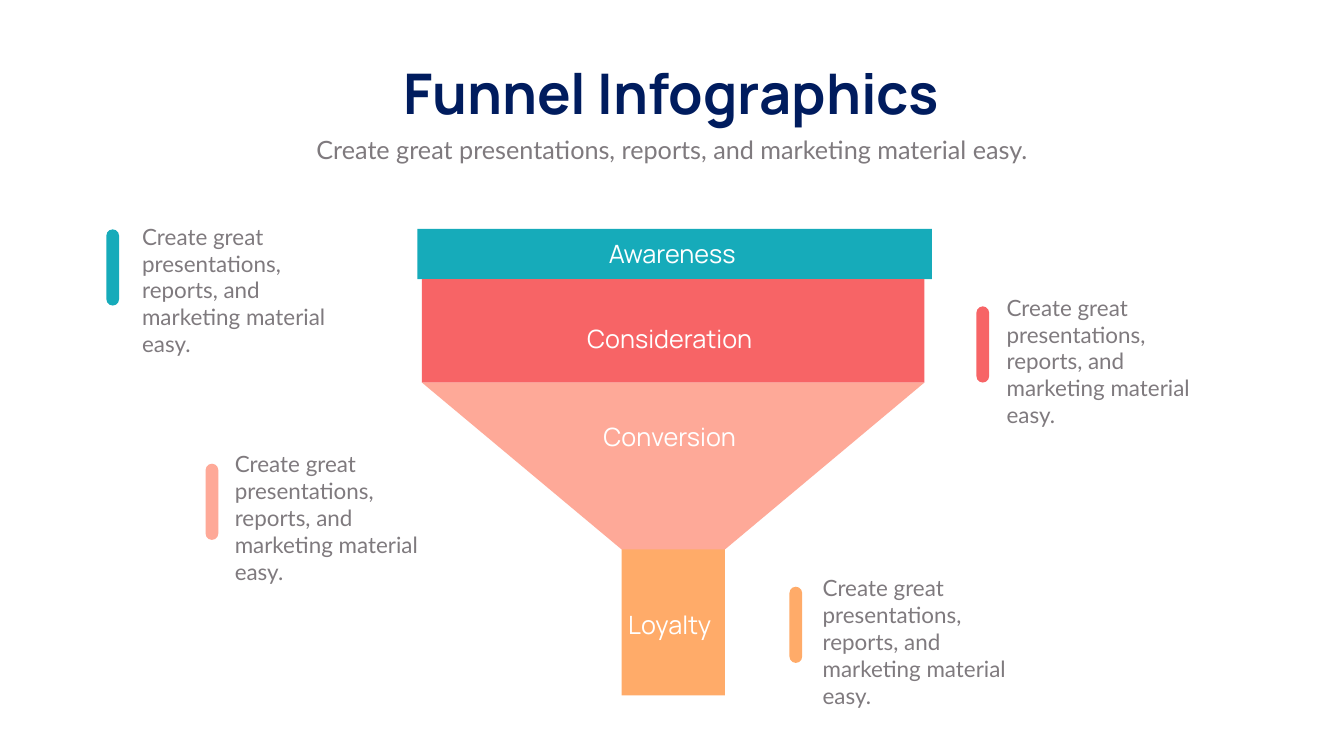
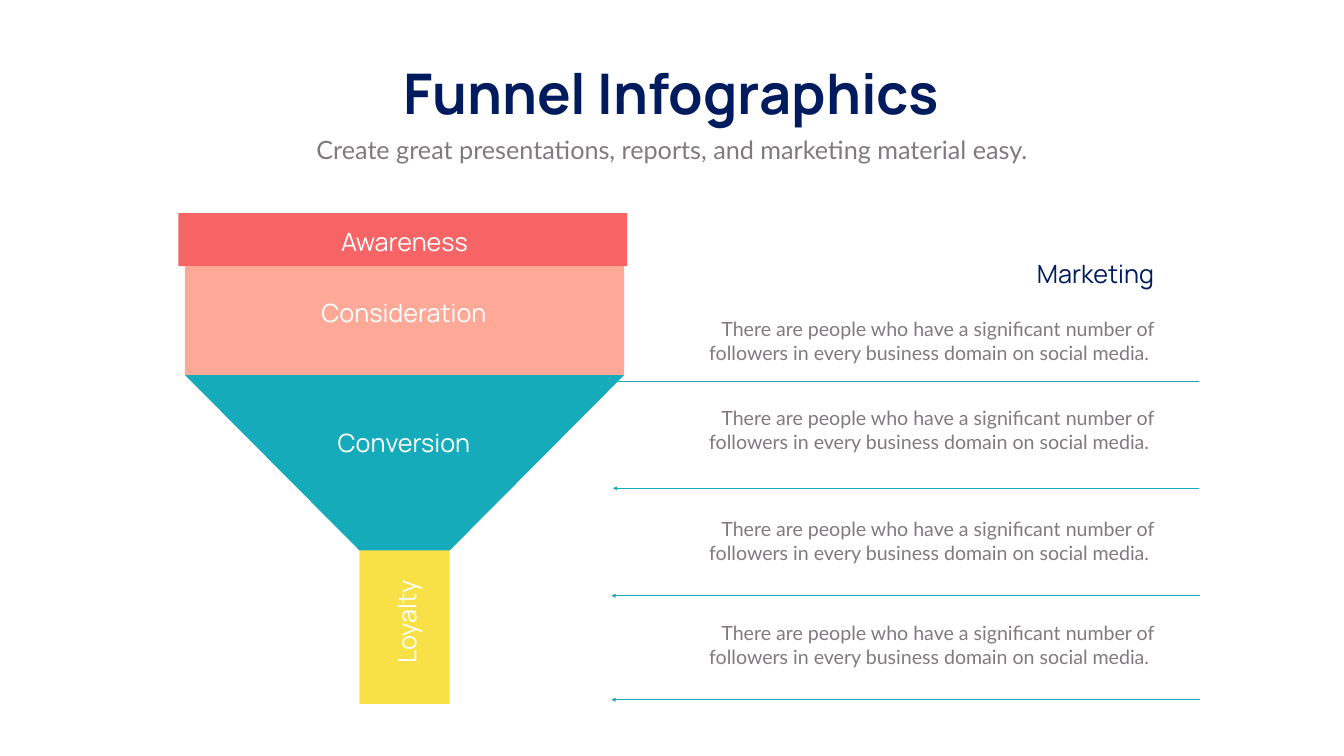
from lxml.etree import SubElement
from pptx import Presentation
from pptx.dml.color import RGBColor
from pptx.enum.shapes import MSO_CONNECTOR, MSO_SHAPE
from pptx.enum.text import MSO_AUTO_SIZE, PP_ALIGN
from pptx.oxml.ns import qn
from pptx.util import Cm, Pt

INK = {
    "navy": "001C5E", "gray": "7F7A7E", "white": "FFFFFF",
    "teal": "16ABBA", "red": "F76466", "pink": "FEA998",
    "orange": "FFAB69", "yellow": "F8E146",
}
HEAD, BODY = "Manrope", "Lato"
LEFT, MID, RIGHT = PP_ALIGN.LEFT, PP_ALIGN.CENTER, PP_ALIGN.RIGHT
PITCH = "Create great presentations, reports, and marketing material easy."
CLAIM = ("There are people who have a significant number of followers "
         "in every business domain on social media. ")


class Deck:
    """Holds the shared style and the current slide."""

    def __init__(self):
        self.prs = Presentation()
        self.prs.slide_width, self.prs.slide_height = Cm(67.72), Cm(38.1)
        self.slide = None

    def page(self):
        self.slide = self.prs.slides.add_slide(self.prs.slide_layouts[6])

    def title(self):
        self.text("Funnel Infographics", 18.97, 2.84, 29.74, 3.68, 80,
                  HEAD, "navy", MID, bold=True, wrap=False)
        self.text(PITCH, 7.42, 6.63, 52.88, 1.8, 36, BODY, "gray", MID)

    def text(self, words, x, y, w, h, size, face, ink, align=LEFT,
             bold=False, wrap=True, turn=0):
        box = self.slide.shapes.add_textbox(Cm(x), Cm(y), Cm(w), Cm(h))
        box.rotation = turn
        frame = box.text_frame
        frame.word_wrap = wrap
        frame.auto_size = MSO_AUTO_SIZE.SHAPE_TO_FIT_TEXT
        para = frame.paragraphs[0]
        para.alignment = align
        run = para.add_run()
        run.text = words
        font = run.font
        font.size, font.name, font.bold = Pt(size), face, bold
        font.color.rgb = RGBColor.from_string(INK[ink])

    def label(self, words, x, y, w, turn=0):
        self.text(words, x, y, w, 1.8, 36, HEAD, "white", MID, turn=turn)

    def paint(self, shape, ink):
        shape.shadow.inherit = False
        shape.fill.solid()
        shape.fill.fore_color.rgb = RGBColor.from_string(INK[ink])
        shape.line.fill.background()

    def block(self, x, y, right, base, ink, kind=MSO_SHAPE.RECTANGLE):
        shape = self.slide.shapes.add_shape(
            kind, Cm(x), Cm(y), Cm(right - x), Cm(base - y))
        self.paint(shape, ink)
        return shape

    def pill(self, x, y, ink):
        shape = self.block(x, y, x + 0.64, y + 3.84, ink,
                           MSO_SHAPE.ROUNDED_RECTANGLE)
        shape.adjustments[0] = 0.5

    def cone(self, top, base, wide, slim, ink):
        spots = [(slim[1], base), (slim[0], base), (wide[0], top),
                 (wide[1], top)]
        spots = [(Cm(x), Cm(y)) for x, y in spots]
        path = self.slide.shapes.build_freeform(*spots[0])
        path.add_line_segments(spots[1:], close=True)
        self.paint(path.convert_to_shape(), ink)

    def funnel(self, rim, wide, slim, rows, inks):
        """Each of rim, wide and slim is a (left, right) pair."""
        top, lip, waist, neck, base = rows
        self.block(slim[0], neck - 3.9, slim[1], base, inks[3])
        self.block(rim[0], top, rim[1], lip, inks[0])
        self.block(wide[0], lip, wide[1], waist, inks[1])
        self.cone(waist, neck, wide, slim, inks[2])

    def arrow(self, start, end, y):
        line = self.slide.shapes.add_connector(
            MSO_CONNECTOR.STRAIGHT, Cm(start), Cm(y), Cm(end), Cm(y))
        line.line.color.rgb = RGBColor.from_string(INK["teal"])
        line.line.width = Pt(0.5)
        SubElement(line.line._get_or_add_ln(), qn("a:tailEnd"),
                   type="triangle")
        SubElement(line._element.spPr, qn("a:effectLst"))


def centre(deck):
    deck.page()
    deck.title()

    # Funnel and its stages
    deck.funnel((21.03, 46.96), (21.26, 46.58), (31.32, 36.53),
                (11.53, 14.07, 19.28, 27.69, 35.05),
                ("teal", "red", "pink", "orange"))
    deck.label("Awareness", 28.6, 11.91, 10.54)
    deck.label("Consideration", 26.39, 16.18, 14.71)
    deck.label("Conversion", 26.39, 21.11, 14.71)
    deck.label("Loyalty", 30.99, 30.58, 5.51)

    # Notes with their colour keys
    notes = [
        ("teal", (5.36, 11.56), (6.91, 11.1)),
        ("pink", (10.36, 23.37), (11.58, 22.56)),
        ("red", (49.2, 15.44), (50.47, 14.68)),
        ("orange", (39.78, 29.57), (41.2, 28.83)),
    ]
    for ink, key, spot in notes:
        deck.pill(*key, ink)
        deck.text(PITCH, *spot, 11.48, 5.74, 32, BODY, "gray")


def side(deck):
    deck.page()
    deck.title()

    # Claims, each above its arrow
    deck.text("Marketing", 44.81, 12.88, 13.59, 1.8, 36, HEAD, "navy", RIGHT)
    claims = [
        (15.85, 19.2, 60.43, 30.89),
        (20.35, 24.61, 60.43, 30.89),
        (25.93, 30.02, 60.48, 30.81),
        (31.19, 35.26, 60.48, 30.81),
    ]
    for y, rule, start, end in claims:
        deck.text(CLAIM, 32.92, y, 25.48, 2.64, 28, BODY, "gray", RIGHT)
        deck.arrow(start, end, rule)

    # Funnel covers the first arrowhead
    deck.funnel((8.99, 31.6), (9.32, 31.45), (18.11, 22.66),
                (10.74, 13.41, 18.9, 27.74, 35.48),
                ("red", "pink", "teal", "yellow"))
    deck.label("Awareness", 15.11, 11.28, 10.54)
    deck.label("Consideration", 13, 14.86, 14.71)
    deck.label("Conversion", 13, 21.41, 14.71)
    deck.label("Loyalty", 17.73, 30.45, 5.51, turn=270)


def main():
    deck = Deck()
    centre(deck)
    side(deck)
    deck.prs.save("out.pptx")


if __name__ == "__main__":
    main()
